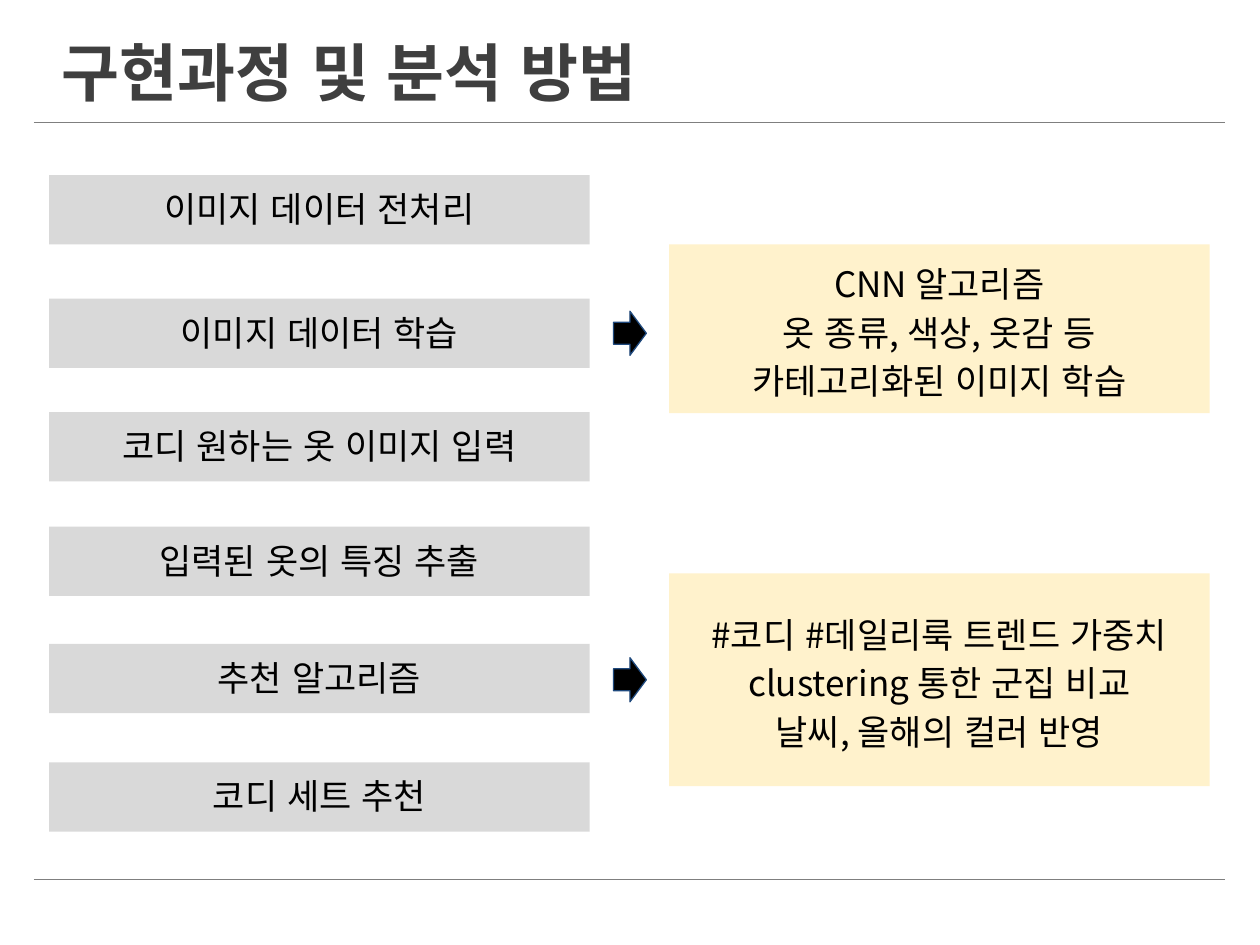
from dataclasses import dataclass

from lxml.etree import SubElement
from pptx import Presentation
from pptx.dml.color import RGBColor
from pptx.enum.lang import MSO_LANGUAGE_ID
from pptx.enum.shapes import MSO_CONNECTOR, MSO_SHAPE
from pptx.enum.text import MSO_ANCHOR, MSO_AUTO_SIZE, PP_ALIGN
from pptx.oxml.ns import qn
from pptx.util import Inches, Pt


@dataclass(frozen=True)
class Theme:
    """Colours, font and type sizes of the deck."""
    font: str = "Noto Sans CJK KR"
    title: str = "3F3F3F"
    text: str = "000000"
    rule: str = "7F7F7F"
    step: str = "D9D9D9"
    note: str = "FFF2CC"
    arrow: str = "000000"
    arrow_edge: str = "1F497D"
    title_size: float = 36
    body_size: float = 20
    line_width: float = 0.75
    note_spacing: float = 1.15


class SlideBuilder:
    """Draws elements on one slide using a grid of 100 columns and 75 rows."""

    def __init__(self, presentation, theme):
        """Add a title-only slide and derive the grid unit."""
        self.theme = theme
        self.slide = presentation.slides.add_slide(presentation.slide_layouts[5])
        self.column = presentation.slide_width / 100
        self.row = presentation.slide_height / 75

    def place(self, left, top, width, height):
        """Convert a grid box to slide lengths."""
        return (round(left * self.column), round(top * self.row),
                round(width * self.column), round(height * self.row))

    def add_text(self, paragraph, text, size, color, bold=False):
        """Add one styled run to a paragraph."""
        run = paragraph.add_run()
        run.text = text
        font = run.font
        font.size, font.bold, font.name = Pt(size), bold, self.theme.font
        font.color.rgb = RGBColor.from_string(color)
        font.language_id = MSO_LANGUAGE_ID.KOREAN
        east_asian = SubElement(run._r.get_or_add_rPr(), qn("a:ea"))
        east_asian.set("typeface", self.theme.font)

    def title(self, text, box):
        """Move, format and fill the title placeholder."""
        shape = self.slide.shapes.title
        shape.left, shape.top, shape.width, shape.height = self.place(*box)
        frame = shape.text_frame
        frame.word_wrap = True
        frame.auto_size = MSO_AUTO_SIZE.SHAPE_TO_FIT_TEXT
        frame.vertical_anchor = MSO_ANCHOR.MIDDLE
        paragraph = frame.paragraphs[0]
        paragraph.alignment = PP_ALIGN.LEFT
        self.add_text(paragraph, text, self.theme.title_size, self.theme.title, bold=True)

    def rule(self, left, right, top):
        """Draw a thin horizontal rule."""
        x, y, width, _ = self.place(left, top, right - left, 0)
        line = self.slide.shapes.add_connector(MSO_CONNECTOR.STRAIGHT, x, y, x + width, y)
        line.line.color.rgb = RGBColor.from_string(self.theme.rule)
        line.line.width = Pt(self.theme.line_width)
        SubElement(line._element.spPr, qn("a:effectLst"))

    def filled(self, kind, box, color):
        """Add a filled preset shape without shadow or outline."""
        shape = self.slide.shapes.add_shape(kind, *self.place(*box))
        shape.shadow.inherit = False
        shape.fill.solid()
        shape.fill.fore_color.rgb = RGBColor.from_string(color)
        shape.line.fill.background()
        return shape

    def panel(self, lines, box, color, anchor, spacing=None):
        """Add a rectangle with centred paragraphs."""
        frame = self.filled(MSO_SHAPE.RECTANGLE, box, color).text_frame
        frame.word_wrap = True
        frame.vertical_anchor = anchor
        frame.margin_left = frame.margin_right = Inches(0.1)
        frame.margin_top = frame.margin_bottom = Inches(0.1)
        for index, text in enumerate(lines):
            paragraph = frame.add_paragraph() if index else frame.paragraphs[0]
            paragraph.alignment = PP_ALIGN.CENTER
            paragraph.line_spacing = spacing
            self.add_text(paragraph, text, self.theme.body_size, self.theme.text)

    def step(self, text, box):
        """Add one process step."""
        self.panel([text], box, self.theme.step, MSO_ANCHOR.TOP)

    def note(self, lines, box):
        """Add an explanatory note."""
        self.panel(lines, box, self.theme.note, MSO_ANCHOR.MIDDLE, self.theme.note_spacing)

    def arrow(self, box):
        """Add an arrow from a step to its note."""
        line = self.filled(MSO_SHAPE.RIGHT_ARROW, box, self.theme.arrow).line
        line.color.rgb = RGBColor.from_string(self.theme.arrow_edge)
        line.width = Pt(self.theme.line_width)


STEPS = [
    ("이미지 데이터 전처리", 13.9),
    ("이미지 데이터 학습", 23.7),
    ("코디 원하는 옷 이미지 입력", 32.7),
    ("입력된 옷의 특징 추출", 41.8),
    ("추천 알고리즘", 51.1),
    ("코디 세트 추천", 60.5),
]
NOTES = [
    (["CNN 알고리즘", "옷 종류, 색상, 옷감 등 카테고리화된 이미지 학습"], 24.7, 19.4, 13.4),
    (["#코디 #데일리룩 트렌드 가중치", "clustering 통한 군집 비교", "날씨, 올해의 컬러 반영"],
     52.2, 45.5, 16.9),
]
STEP_LEFT, NOTE_LEFT, PANEL_WIDTH, STEP_HEIGHT = 3.9, 53.1, 42.9, 5.5
ARROW_LEFT, ARROW_WIDTH, ARROW_HEIGHT = 48.7, 2.6, 3.5


def main():
    """Build and save the process slide."""
    presentation = Presentation()
    presentation.slide_width, presentation.slide_height = Inches(10), Inches(7.5)
    builder = SlideBuilder(presentation, Theme())
    for top in (9.7, 69.8):
        builder.rule(2.7, 97.2, top)
    builder.title("구현과정 및 분석 방법", (STEP_LEFT, 2.1, 57.8, 7.1))
    for text, top in STEPS:
        builder.step(text, (STEP_LEFT, top, PANEL_WIDTH, STEP_HEIGHT))
    for lines, arrow_top, top, height in NOTES:
        builder.arrow((ARROW_LEFT, arrow_top, ARROW_WIDTH, ARROW_HEIGHT))
        builder.note(lines, (NOTE_LEFT, top, PANEL_WIDTH, height))
    presentation.save("out.pptx")


if __name__ == "__main__":
    main()
